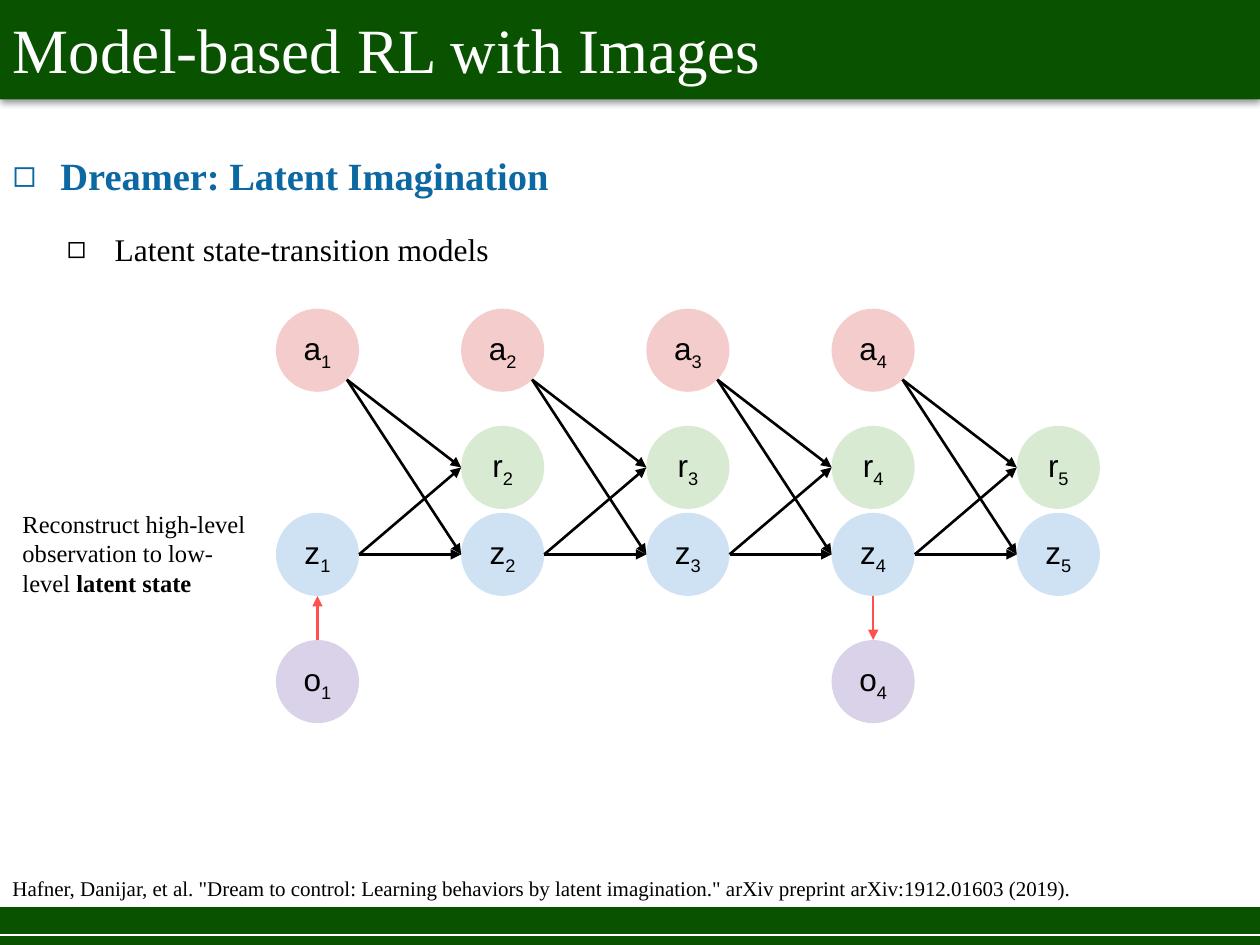
from dataclasses import dataclass
from math import sqrt

from lxml import etree
from pptx import Presentation
from pptx.dml.color import RGBColor
from pptx.enum.shapes import MSO_CONNECTOR, MSO_SHAPE
from pptx.enum.text import MSO_ANCHOR, MSO_AUTO_SIZE, PP_ALIGN
from pptx.oxml.ns import qn
from pptx.util import Inches, Pt

OVAL, RECT = MSO_SHAPE.OVAL, MSO_SHAPE.RECTANGLE
STRAIGHT = MSO_CONNECTOR.STRAIGHT
TOP, MIDDLE = MSO_ANCHOR.TOP, MSO_ANCHOR.MIDDLE
LEFT, CENTER = PP_ALIGN.LEFT, PP_ALIGN.CENTER
NO_AUTOFIT = MSO_AUTO_SIZE.NONE


@dataclass(frozen=True)
class Theme:
    serif: str = "Times New Roman"
    sans: str = "Arial"
    bar: str = "095200"
    heading: str = "0C68A3"
    ink: str = "000000"
    paper: str = "FFFFFF"
    latent: str = "CFE2F3"
    action: str = "F4CCCC"
    reward: str = "D9EAD3"
    observation: str = "D9D2E9"
    observe_arrow: str = "FF5050"
    title_size: int = 36
    heading_size: int = 22
    label_size: int = 18
    note_size: int = 14
    citation_size: int = 12


THEME = Theme()

# Diagram grid: one column per time step, one row per kind of variable
DIAMETER = 0.66
RADIUS = DIAMETER / 2
FIRST_X, STEP_X = 2.52, 1.47
ACTION_Y, REWARD_Y, LATENT_Y, OBSERVATION_Y = 2.78, 3.71, 4.4, 5.41
LAST_STEP = 5


def rgb(color):
    return RGBColor.from_string(color)


def set_font(paragraph, size, color=THEME.ink, name=THEME.serif, bold=False):
    font = paragraph.font
    font.name, font.size, font.bold = name, Pt(size), bold
    font.color.rgb = rgb(color)


def place(shape, left, top, width, height):
    shape.left, shape.top = Inches(left), Inches(top)
    shape.width, shape.height = Inches(width), Inches(height)


def add_solid(slide, kind, left, top, width, height, color):
    shape = slide.shapes.add_shape(
        kind, Inches(left), Inches(top), Inches(width), Inches(height))
    shape.shadow.inherit = False
    shape.fill.solid()
    shape.fill.fore_color.rgb = rgb(color)
    shape.line.fill.background()
    return shape


def add_line(slide, start, end, color=THEME.ink, width=1.5, arrow=True):
    line = slide.shapes.add_connector(
        STRAIGHT, *(Inches(value) for value in (*start, *end)))
    line.line.color.rgb = rgb(color)
    line.line.width = Pt(width)
    if arrow:
        outline = line.line._get_or_add_ln()
        etree.SubElement(outline, qn("a:tailEnd"), type="triangle")
    etree.SubElement(line._element.spPr, qn("a:effectLst"))


def add_text(slide, left, top, width, height, size, text, bold_end=""):
    box = slide.shapes.add_textbox(
        Inches(left), Inches(top), Inches(width), Inches(height))
    box.text_frame.word_wrap = True
    paragraph = box.text_frame.paragraphs[0]
    paragraph.add_run().text = text
    if bold_end:
        strong = paragraph.add_run()
        strong.text = bold_end
        strong.font.bold = True
    set_font(paragraph, size)


def add_header(slide):
    bar = add_solid(slide, RECT, 0, -0.01, 10, 0.8, THEME.bar)
    effects = bar._element.spPr.find(qn("a:effectLst"))
    shadow = etree.SubElement(
        effects, qn("a:outerShdw"), blurRad=str(Pt(4)), dist=str(Pt(1)),
        dir="5400000", algn="t", rotWithShape="0")
    shade = etree.SubElement(shadow, qn("a:srgbClr"), val=THEME.ink)
    etree.SubElement(shade, qn("a:alpha"), val="40000")

    title = slide.shapes.title
    title._element.addprevious(bar._element)  # keep the bar behind the title
    place(title, 0, 0.03, 10, 0.71)
    frame = title.text_frame
    frame.text = "Model-based RL with Images"
    frame.auto_size = NO_AUTOFIT
    frame.vertical_anchor = TOP
    frame.paragraphs[0].alignment = LEFT
    set_font(frame.paragraphs[0], THEME.title_size, THEME.paper)


def add_bullet(paragraph, text, margin):
    paragraph.text = text
    properties = paragraph._p.get_or_add_pPr()
    properties.set("marL", str(Inches(margin)))
    properties.set("indent", str(Inches(-0.38)))
    etree.SubElement(properties, qn("a:buChar"), char="◻")


def add_outline(slide):
    body = slide.placeholders[1]
    place(body, 0, 1.16, 9.19, 1)
    frame = body.text_frame
    frame.auto_size = NO_AUTOFIT
    topic, detail = frame.paragraphs[0], frame.add_paragraph()
    add_bullet(topic, "Dreamer: Latent Imagination", 0.38)
    topic.space_before = Pt(0)
    set_font(topic, THEME.heading_size, THEME.heading, bold=True)
    add_bullet(detail, "Latent state-transition models", 0.81)
    detail.level = 1
    detail.space_before = Pt(18)
    set_font(detail, THEME.label_size)


def column_x(step):
    return FIRST_X + (step - 1) * STEP_X


def add_node(slide, letter, step, center_y, color):
    node = add_solid(slide, OVAL, column_x(step) - RADIUS, center_y - RADIUS,
                     DIAMETER, DIAMETER, color)
    frame = node.text_frame
    frame.margin_left = frame.margin_right = 0
    frame.margin_top = frame.margin_bottom = 0
    frame.vertical_anchor = MIDDLE
    label = frame.paragraphs[0]
    label.alignment = CENTER
    label.add_run().text = letter
    index = label.add_run()
    index.text = str(step)
    index.font._element.set("baseline", "-25000")
    set_font(label, THEME.label_size, name=THEME.sans)


def add_transitions(slide, step):
    """Link the action and latent state of a step to the next step."""
    x = column_x(step)
    diagonal = RADIUS / sqrt(2)
    action_exit = (x + diagonal, ACTION_Y + diagonal)
    latent_exit = (x + RADIUS, LATENT_Y)
    next_left = column_x(step + 1) - RADIUS
    for start in (action_exit, latent_exit):
        for target_y in (LATENT_Y, REWARD_Y):
            add_line(slide, start, (next_left, target_y))


def add_diagram(slide):
    rows = (
        ("z", LATENT_Y, THEME.latent, range(1, LAST_STEP + 1)),
        ("a", ACTION_Y, THEME.action, range(1, LAST_STEP)),
        ("r", REWARD_Y, THEME.reward, range(2, LAST_STEP + 1)),
        ("o", OBSERVATION_Y, THEME.observation, (1, 4)),
    )
    for letter, center_y, color, steps in rows:
        for step in steps:
            add_node(slide, letter, step, center_y, color)
    for step in range(1, LAST_STEP):
        add_transitions(slide, step)

    # Encode the first observation, decode the fourth
    latent_bottom, observation_top = LATENT_Y + RADIUS, OBSERVATION_Y - RADIUS
    for step, start_y, end_y in ((1, observation_top, latent_bottom),
                                 (4, latent_bottom, observation_top)):
        x = column_x(step)
        add_line(slide, (x, start_y), (x, end_y), THEME.observe_arrow)


def main():
    deck = Presentation()
    deck.slide_width, deck.slide_height = Inches(10), Inches(7.5)
    slide = deck.slides.add_slide(deck.slide_layouts[1])

    # Footer band
    add_solid(slide, RECT, 0, 7.2, 10, 0.3, THEME.bar)
    add_line(slide, (0, 7.42), (10, 7.42), THEME.paper, 0.75, arrow=False)

    add_header(slide)
    add_outline(slide)
    add_diagram(slide)

    # Side note and citation
    add_text(slide, 0.08, 3.99, 2.01, 0.81, THEME.note_size,
             "Reconstruct high-level observation to low-level ", "latent state")
    add_text(slide, 0, 6.9, 9.99, 0.3, THEME.citation_size,
             'Hafner, Danijar, et al. "Dream to control: Learning behaviors by '
             'latent imagination." arXiv preprint arXiv:1912.01603 (2019).')
    deck.save("out.pptx")


if __name__ == "__main__":
    main()
